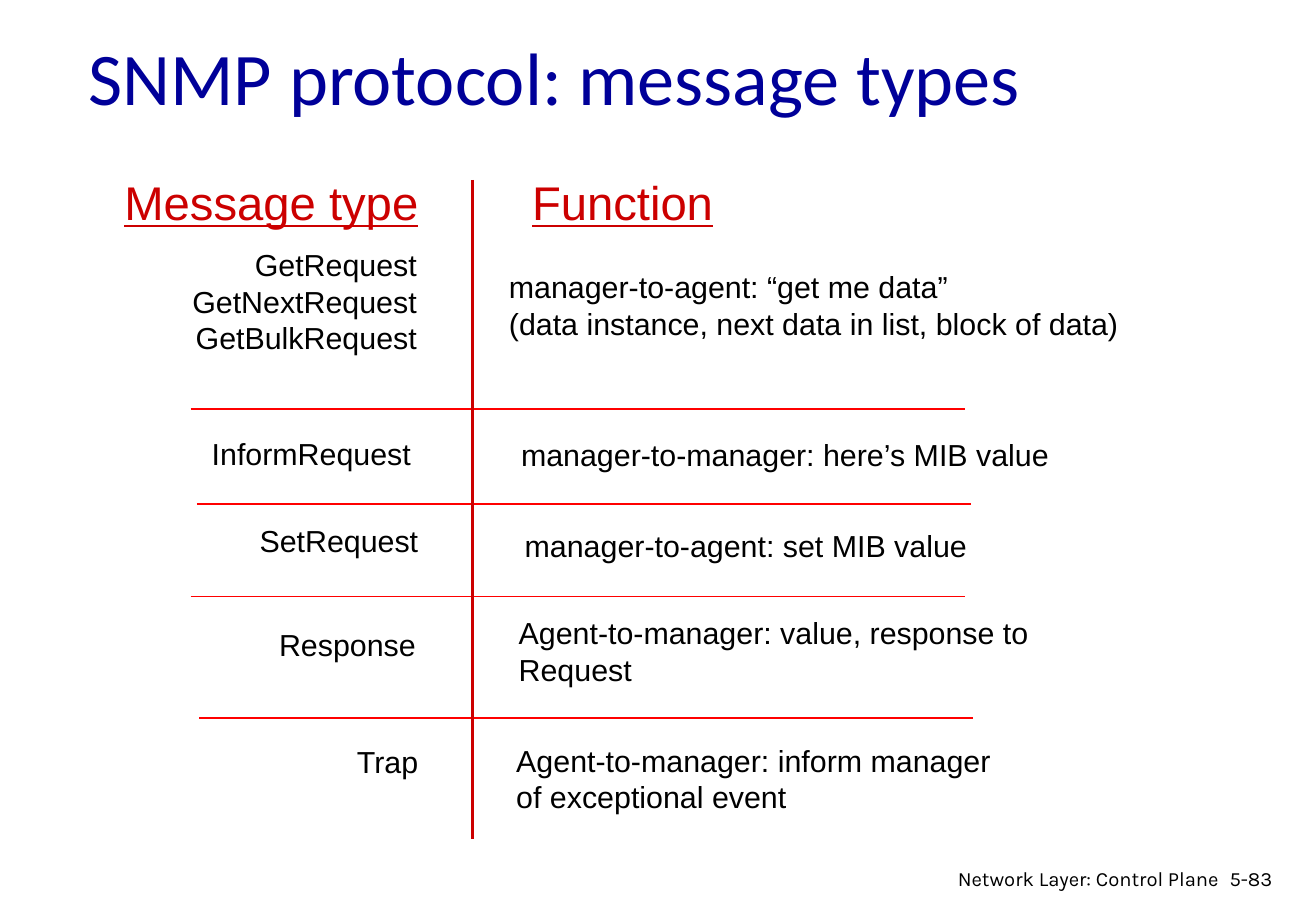
import pptx
import pptx.dml.color
import pptx.enum.shapes
import pptx.enum.text
import pptx.oxml.ns
import pptx.util
from lxml import etree

Inches = pptx.util.Inches
Align = pptx.enum.text.PP_ALIGN
Anchor = pptx.enum.text.MSO_ANCHOR


def color(value):
    return pptx.dml.color.RGBColor.from_string(value)


class MessageSlide:
    """Holds the text styles and the current slide, and draws text and rules on it."""

    STYLES = {
        "title": ({"name": "Calibri", "size": pptx.util.Pt(44)}, "000099"),
        "heading": ({"name": "Arial", "size": pptx.util.Pt(28), "underline": True}, "CC0000"),
        "body": ({"name": "Arial", "size": pptx.util.Pt(18)}, "000000"),
        "footer": ({"name": "Karla", "size": pptx.util.Pt(12)}, "000000"),
    }

    def __init__(self, deck):
        self.slide = deck.slides.add_slide(deck.slide_layouts[6])

    def text(self, lines, place, style, align=Align.LEFT, anchor=Anchor.TOP, wrap=True):
        box = self.slide.shapes.add_textbox(*map(Inches, place))
        frame = box.text_frame
        for attribute, value in {"word_wrap": wrap, "vertical_anchor": anchor}.items():
            setattr(frame, attribute, value)
        font_values, ink = self.STYLES[style]
        for index, line in enumerate(lines):
            paragraph = frame.add_paragraph() if index else frame.paragraphs[0]
            paragraph.alignment = align
            run = paragraph.add_run()
            run.text = line
            for attribute, value in font_values.items():
                setattr(run.font, attribute, value)
            run.font.color.rgb = color(ink)

    def rule(self, start, end, ink, width):
        line = self.slide.shapes.add_connector(
            pptx.enum.shapes.MSO_CONNECTOR.STRAIGHT, *map(Inches, start + end))
        line.line.color.rgb = color(ink)
        line.line.width = pptx.util.Pt(width)
        etree.SubElement(line._element.spPr, pptx.oxml.ns.qn("a:effectLst"))


def main():
    deck = pptx.Presentation()
    deck.slide_width, deck.slide_height = Inches(10.83), Inches(7.5)
    page = MessageSlide(deck)

    page.text(["SNMP protocol: message types"], (0.63, 0, 9.21, 1.25), "title",
              anchor=Anchor.MIDDLE)
    page.text(["Message type"], (0.89, 1.38, 2.65, 0.57), "heading", Align.RIGHT, wrap=False)
    page.text(["Function"], (4.28, 1.38, 1.71, 0.57), "heading", wrap=False)

    messages = [
        (["GetRequest", "GetNextRequest", "GetBulkRequest"], (1.46, 1.98, 2.07, 1.01),
         ["manager-to-agent: “get me data”",
          "(data instance, next data in list, block of data)"], (4.09, 2.16, 5.26, 0.71), False),
        (["InformRequest"], (0.43, 3.53, 3.05, 0.4),
         ["manager-to-manager: here’s MIB value"], (4.19, 3.54, 5.34, 0.4), True),
        (["SetRequest"], (0.49, 4.25, 3.05, 0.4),
         ["manager-to-agent: set MIB value"], (4.22, 4.29, 5.06, 0.4), True),
        (["Response"], (0.47, 5.11, 3.05, 0.4),
         ["Agent-to-manager: value, response to", "Request"], (4.17, 5.01, 5.02, 0.71), True),
        (["Trap"], (0.49, 6.07, 3.05, 0.4),
         ["Agent-to-manager: inform manager", "of exceptional event"],
         (4.15, 6.06, 5.68, 0.71), True),
    ]
    for names, name_place, function, function_place, wrap in messages:
        page.text(names, name_place, "body", Align.RIGHT, wrap=wrap)
        page.text(function, function_place, "body", wrap=wrap)

    divider_length = 6.37
    for left, top in [(1.57, 3.37), (1.62, 4.15), (1.57, 4.91), (1.64, 5.91)]:
        page.rule((left, top), (left + divider_length, top), "FF0000", 1)
    page.rule((3.89, 1.48), (3.89, 6.91), "CC0000", 2)

    page.text(["5-83"], (10.02, 7.08, 0.65, 0.3), "footer")
    page.text(["Network Layer: Control Plane"], (7.55, 7.08, 2.58, 0.26), "footer", Align.RIGHT)
    deck.save("out.pptx")


if __name__ == "__main__":
    main()
